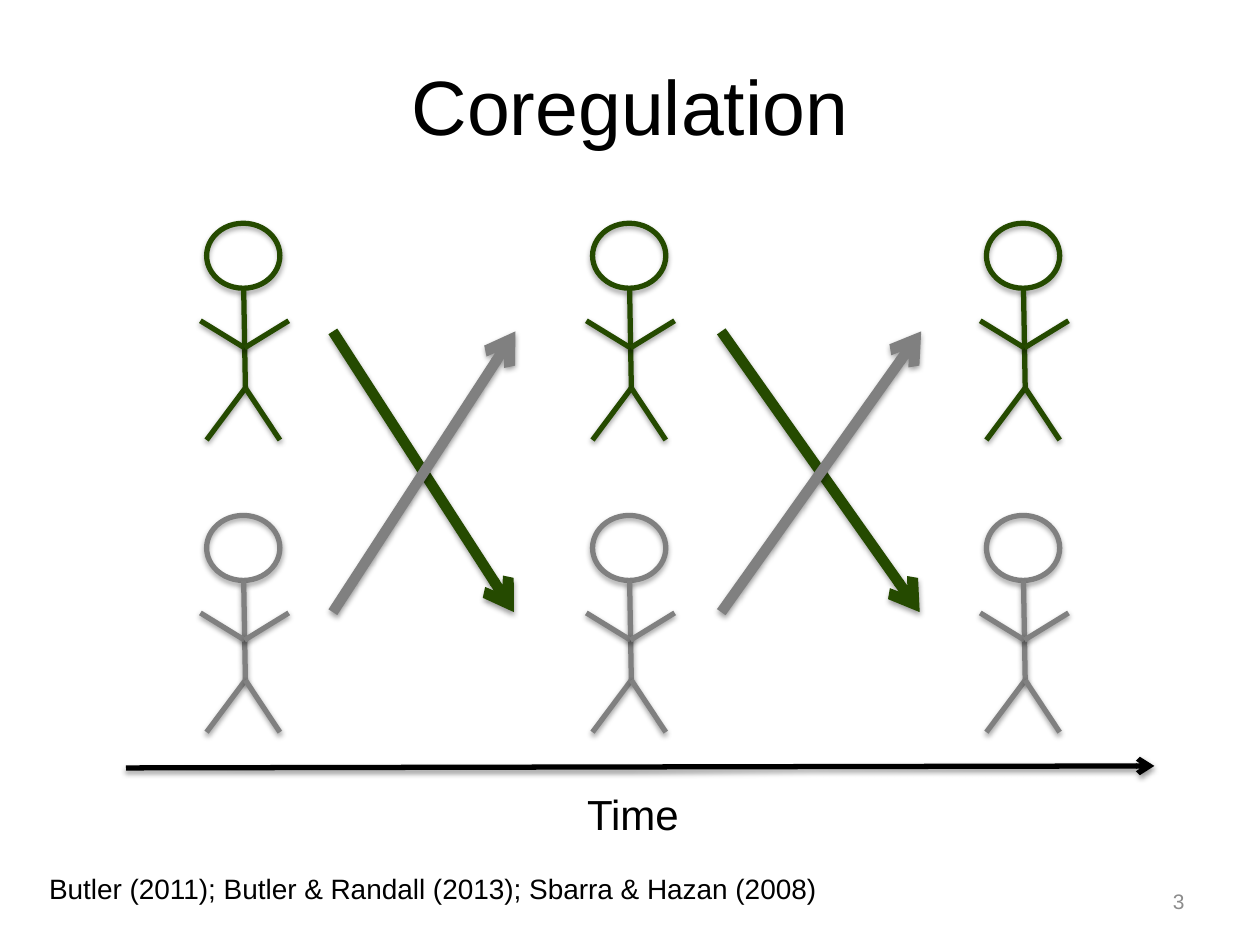
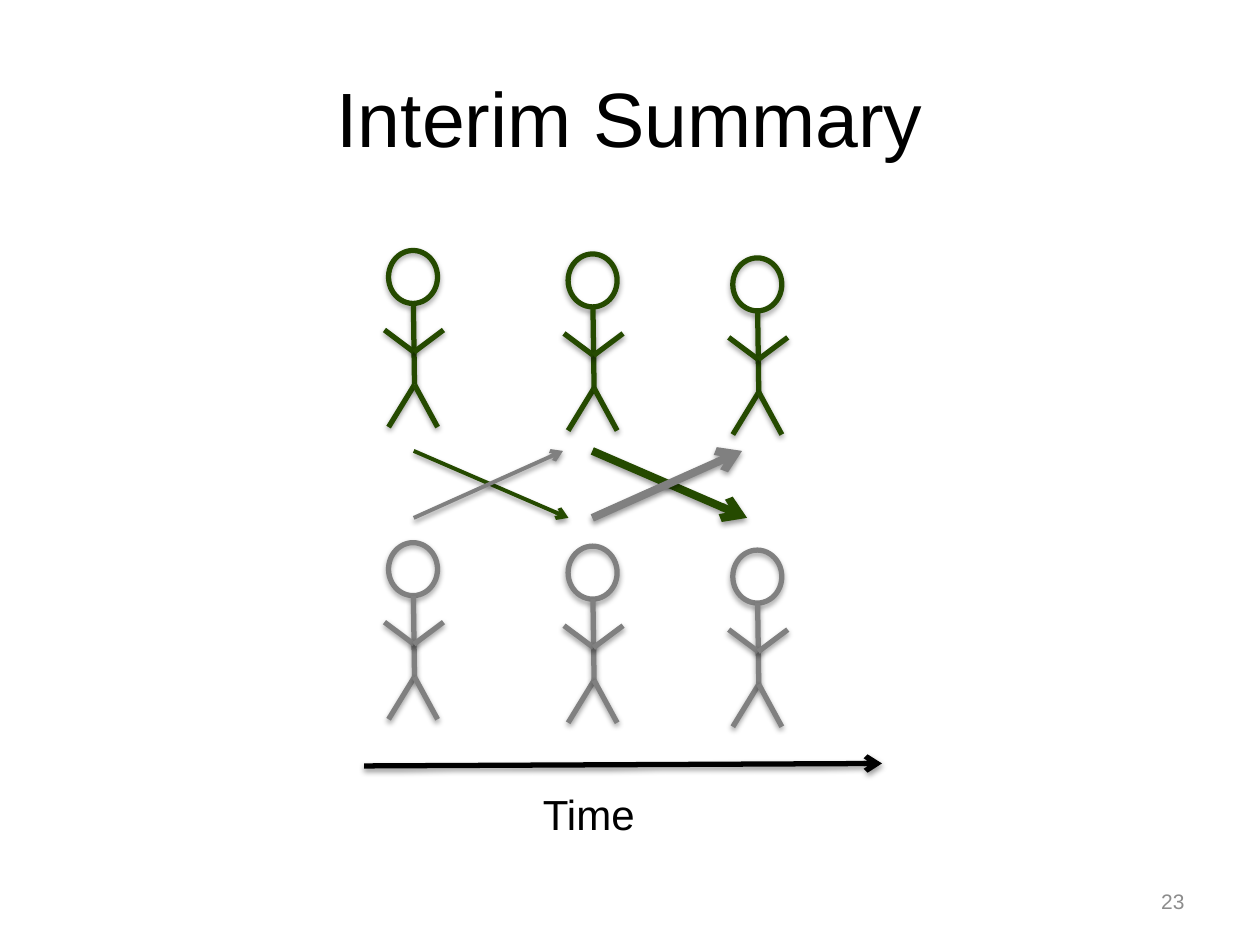
from lxml import etree
from pptx import Presentation
from pptx.dml.color import RGBColor
from pptx.enum.shapes import MSO_CONNECTOR, MSO_SHAPE
from pptx.enum.text import MSO_ANCHOR, PP_ALIGN
from pptx.oxml.ns import qn
from pptx.util import Cm, Pt

STRAIGHT = MSO_CONNECTOR.STRAIGHT
OVAL = MSO_SHAPE.OVAL
LEFT, CENTER, RIGHT = PP_ALIGN.LEFT, PP_ALIGN.CENTER, PP_ALIGN.RIGHT
TOP, MIDDLE = MSO_ANCHOR.TOP, MSO_ANCHOR.MIDDLE

COLORS = {"first": "254A00", "second": "808080", "text": "000000", "number": "8C8C8C"}
FONT = "Arial"

SLIDES = [
    {
        "title": "Coregulation",
        "title_top": 0.53,
        "number": "3",
        "citation": "Butler (2011); Butler & Randall (2013); Sbarra & Hazan (2008)",
        "figure_size": (1.78, 4.37),
        "figures": [(4.04, 4.5), (11.82, 4.5), (19.76, 4.5)],
        "influence_rows": (6.68, 12.34),
        "influences": [(6.71, 10.36, 10.39, 6), (14.54, 18.54, 18.57, 6)],
        "timeline": ((2.54, 15.48), (23.27, 15.44)),
        "time_left": 10.36,
    },
    {
        "title": "Interim Summary",
        "title_top": 0.76,
        "number": "23",
        "citation": None,
        "figure_size": (1.19, 3.56),
        "figures": [(7.75, 5.05), (11.37, 5.12), (14.69, 5.2)],
        "influence_rows": (9.09, 10.44),
        "influences": [(8.34, 11.46, 11.35, 2.25), (11.94, 15.06, 14.96, 4.5)],
        "timeline": ((7.34, 15.44), (17.78, 15.39)),
        "time_left": 9.47,
    },
]

PARTNER_GAP = 5.89
HEAD = (0.07, 0, 0.83, 0.3)
NECK, SHOULDER, HIP = (0.49, 0.3), (0.5, 0.575), (0.51, 0.76)
LIMBS = [
    (NECK, HIP),
    (HIP, (0.07, 1)),
    (HIP, (0.9, 1)),
    ((0, 0.45), SHOULDER),
    (SHOULDER, (1, 0.45)),
]

CITATION = {"box": (0.74, 17.45, 17.3, 0.94), "size": 16}
NUMBER = {"box": (18.21, 17.65, 5.92, 1.02), "size": 12, "color": "number",
          "align": RIGHT, "anchor": MIDDLE}
TIME = {"size": 24, "align": CENTER}


def color(name):
    return RGBColor.from_string(COLORS[name])


def add_shadow(shape, opacity, distance):
    effects = etree.SubElement(shape._element.spPr, qn("a:effectLst"))
    shadow = etree.SubElement(effects, qn("a:outerShdw"), blurRad="40000",
                              dist=str(distance), dir="5400000", rotWithShape="0")
    black = etree.SubElement(shadow, qn("a:srgbClr"), val="000000")
    etree.SubElement(black, qn("a:alpha"), val=str(opacity * 1000))


def style_line(shape, color_name, width):
    shape.line.color.rgb = color(color_name)
    shape.line.width = Pt(width)


def add_line(shapes, start, end, color_name, width, arrow=False):
    connector = shapes.add_connector(STRAIGHT, *map(Cm, start + end))
    style_line(connector, color_name, width)
    if arrow:
        etree.SubElement(connector.line._get_or_add_ln(), qn("a:tailEnd"), type="arrow")
    add_shadow(connector, 38, 20000)


def add_figure(slide, origin, size, color_name):
    def place(point):
        return tuple(start + part * length
                     for start, part, length in zip(origin, point, size))

    shapes = slide.shapes.add_group_shape().shapes
    head_size = [part * length for part, length in zip(HEAD[2:], size)]
    head = shapes.add_shape(OVAL, *map(Cm, (*place(HEAD[:2]), *head_size)))
    head.fill.background()
    style_line(head, color_name, 3)
    add_shadow(head, 35, 23000)
    for start, end in LIMBS:
        add_line(shapes, place(start), place(end), color_name, 3)


def format_text(frame, text, size, color_name="text", align=LEFT, anchor=TOP):
    frame.text = text
    frame.word_wrap = True
    frame.vertical_anchor = anchor
    paragraph = frame.paragraphs[0]
    paragraph.alignment = align
    font = paragraph.runs[0].font
    for name, value in {"name": FONT, "size": Pt(size)}.items():
        setattr(font, name, value)
    font.color.rgb = color(color_name)


def add_text(slide, text, box, size, color="text", align=LEFT, anchor=TOP):
    shape = slide.shapes.add_textbox(*map(Cm, box))
    format_text(shape.text_frame, text, size, color, align, anchor)


def add_title(slide, text, top):
    title = slide.shapes.title
    box = {"left": 1.27, "top": top, "width": 22.86, "height": 3.18}
    for name, value in box.items():
        setattr(title, name, Cm(value))
    format_text(title.text_frame, text, 44, align=CENTER, anchor=MIDDLE)


def add_influences(slide, content):
    upper, lower = content["influence_rows"]
    for left, first_end, second_end, width in content["influences"]:
        add_line(slide.shapes, (left, upper), (first_end, lower), "first", width, True)
        add_line(slide.shapes, (left, lower), (second_end, upper), "second", width, True)


def build_slide(presentation, content):
    slide = presentation.slides.add_slide(presentation.slide_layouts[5])
    add_title(slide, content["title"], content["title_top"])
    add_text(slide, content["number"], **NUMBER)
    if content["citation"]:
        add_text(slide, content["citation"], **CITATION)
    add_text(slide, "Time", (content["time_left"], 15.77, 4.8, 1.27), **TIME)
    add_line(slide.shapes, *content["timeline"], "text", 3, True)
    for left, top in content["figures"]:
        add_figure(slide, (left, top), content["figure_size"], "first")
        add_figure(slide, (left, top + PARTNER_GAP), content["figure_size"], "second")
    add_influences(slide, content)


def main():
    presentation = Presentation()
    presentation.slide_width = Cm(25.4)
    presentation.slide_height = Cm(19.05)
    for content in SLIDES:
        build_slide(presentation, content)
    presentation.save("out.pptx")


if __name__ == "__main__":
    main()
